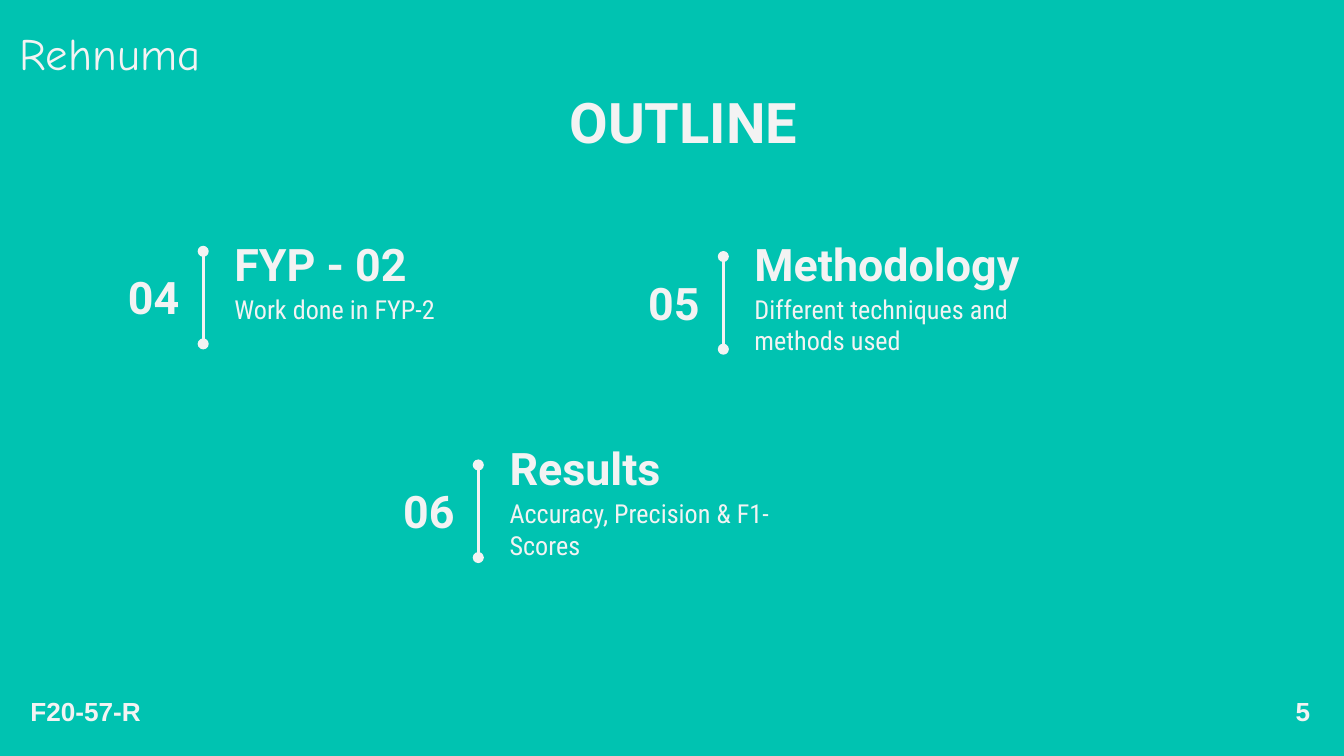
import lxml.etree
import pptx
import pptx.util
import pptx.dml.color
import pptx.enum.shapes
import pptx.enum.text
import pptx.oxml.ns

Cm, Pt = pptx.util.Cm, pptx.util.Pt
qn = pptx.oxml.ns.qn
ALIGN = pptx.enum.text.PP_ALIGN
ANCHOR = pptx.enum.text.MSO_ANCHOR
COLORS = {"back": "00C3B1", "ink": "F3F3F3"}


def color(name):
    return pptx.dml.color.RGBColor.from_string(COLORS[name])


class Deck:
    """Holds the style and the current slide."""

    head = "Roboto"
    body = "Roboto Condensed"

    def __init__(self, wide, high):
        self.prs = pptx.Presentation()
        self.prs.slide_width, self.prs.slide_height = Cm(wide), Cm(high)
        self.slide = self.prs.slides.add_slide(self.prs.slide_layouts[6])
        fill = self.slide.background.fill
        fill.solid()
        fill.fore_color.rgb = color("back")

    def text(self, words, x, y, w, h, size=24, font=head, bold=True,
             align=ALIGN.LEFT, anchor=ANCHOR.MIDDLE, pad=0.25, after=0):
        box = self.slide.shapes.add_textbox(Cm(x), Cm(y), Cm(w), Cm(h))
        frame = box.text_frame
        frame.word_wrap = True
        frame.vertical_anchor = anchor
        frame.margin_left = frame.margin_right = Cm(0.25)
        frame.margin_top = frame.margin_bottom = Cm(pad)
        para = frame.paragraphs[0]
        para.alignment = align
        para.space_after = Pt(after)
        run = para.add_run()
        run.text = words
        run.font.name, run.font.size, run.font.bold = font, Pt(size), bold
        run.font.color.rgb = color("ink")

    def rule(self, x, y, long):
        """Upright line with a dot at each end."""
        line = self.slide.shapes.add_connector(
            pptx.enum.shapes.MSO_CONNECTOR.STRAIGHT,
            Cm(x), Cm(y), Cm(x), Cm(y + long))
        line.line.color.rgb = color("ink")
        line.line.width = Pt(1.5)
        props = line._element.spPr
        stroke = props.find(qn("a:ln"))
        for tag in ("a:headEnd", "a:tailEnd"):
            lxml.etree.SubElement(stroke, qn(tag), type="oval")
        lxml.etree.SubElement(props, qn("a:effectLst"))

    def topic(self, num, name, note, x, top, start, wide, span):
        """Number, rule, heading and note, set around the rule at x."""
        self.text(num, x - 1.88, start + 0.28, 1.68, 1.17, align=ALIGN.RIGHT)
        self.rule(x, start, 1.75)
        self.text(name, x + 0.34, top, wide, 1.17)
        self.text(note, x + 0.34, top + 0.9, span, 1.8, size=14,
                  font=self.body, bold=False, anchor=ANCHOR.TOP, after=16)

    def foot(self, words, x, w):
        self.text(words, x, 13.06, w, 0.76, size=14, font="Arial",
                  align=ALIGN.CENTER, pad=0.13)


def main():
    deck = Deck(25.4, 14.29)

    # Project name and title
    deck.text("Rehnuma", -0.41, 0.46, 4.98, 1.07, font="Comic Neue",
              bold=False, align=ALIGN.CENTER)
    deck.text("OUTLINE", 2.21, 1.4, 21.41, 1.6, size=30,
              align=ALIGN.CENTER, anchor=ANCHOR.TOP)

    # Topics: rule x, heading top, rule top, heading width, note width
    for topic in (
        ("04", "FYP - 02", "Work done in FYP-2",
         3.84, 4.39, 4.75, 6.88, 6.27),
        ("05", "Methodology", "Different techniques and methods used",
         13.67, 4.39, 4.85, 8.1, 6.7),
        ("06", "Results", "Accuracy, Precision & F1-Scores",
         9.04, 8.26, 8.79, 8.1, 5.44),
    ):
        deck.topic(*topic)

    # Footer
    deck.foot("F20-57-R", -0.41, 4.06)
    deck.foot("5", 24.08, 1.09)

    deck.prs.save("out.pptx")


if __name__ == "__main__":
    main()
